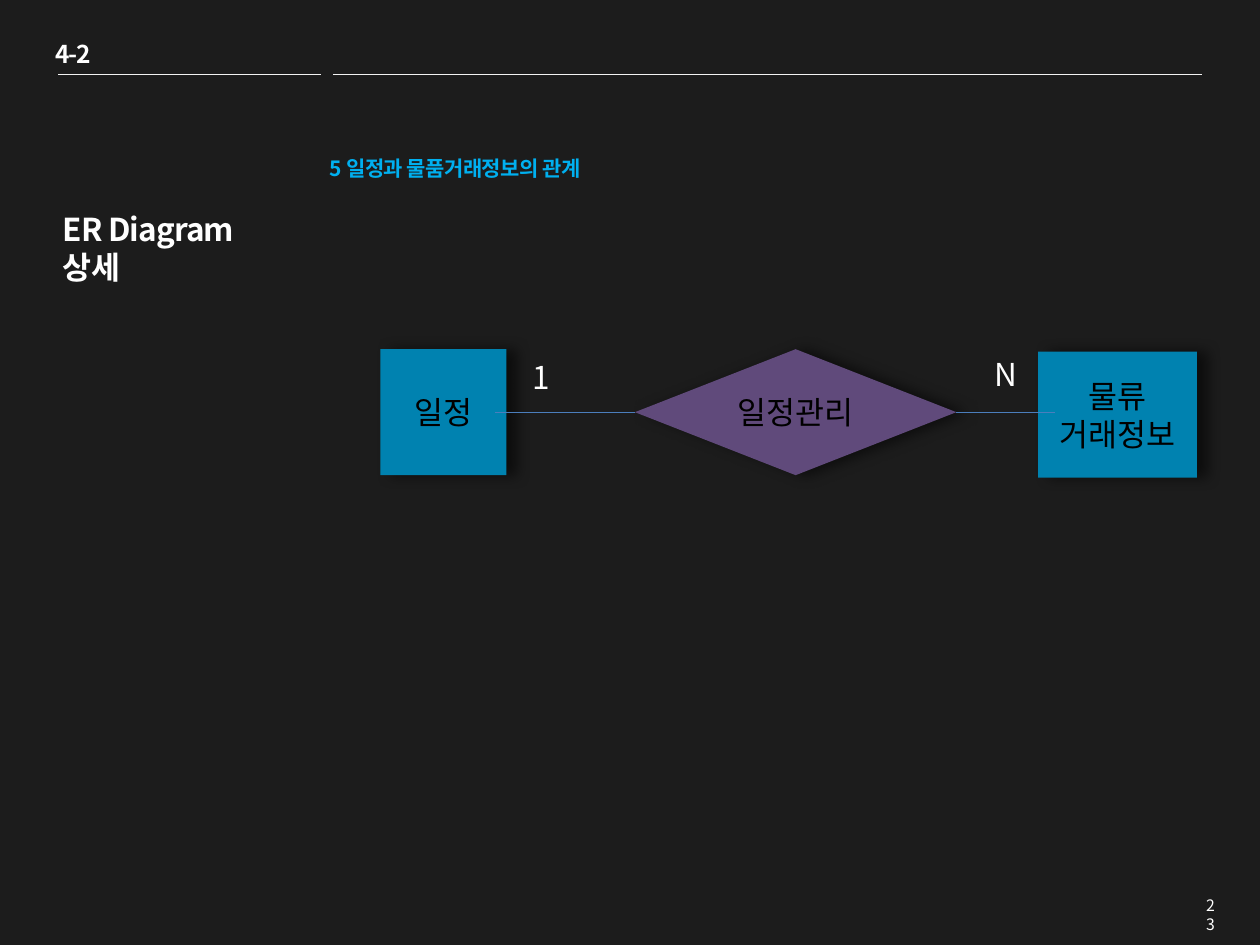
from dataclasses import dataclass

import pptx
import pptx.dml.color
import pptx.enum.shapes
import pptx.enum.text
import pptx.oxml
import pptx.oxml.ns
import pptx.util
from lxml import etree

Cm = pptx.util.Cm
Pt = pptx.util.Pt
RGBColor = pptx.dml.color.RGBColor
Shapes = pptx.enum.shapes.MSO_SHAPE
Align = pptx.enum.text.PP_ALIGN
Anchor = pptx.enum.text.MSO_ANCHOR
qn = pptx.oxml.ns.qn

FONT = "Noto Sans CJK KR"
BACKGROUND = RGBColor(0x1C, 0x1C, 0x1C)
WHITE = RGBColor(0xFF, 0xFF, 0xFF)
BLACK = RGBColor(0x00, 0x00, 0x00)
RULE = RGBColor(0xF2, 0xF2, 0xF2)
HEADING = RGBColor(0x00, 0xB0, 0xF0)
ENTITY = RGBColor(0x00, 0x82, 0xB0)
RELATION = RGBColor(0x60, 0x4A, 0x7B)
LINK = RGBColor(0x4B, 0x7E, 0xBC)
SHADOW = f"""<a:effectLst {pptx.oxml.ns.nsdecls("a")}>
<a:outerShdw blurRad="{Pt(8)}" dist="{Pt(6)}" dir="0" algn="l" rotWithShape="0">
<a:srgbClr val="000000"><a:alpha val="55000"/></a:srgbClr></a:outerShdw></a:effectLst>"""


@dataclass
class Label:
    text: str
    left: float
    top: float
    width: float
    height: float
    size: float
    color: RGBColor = WHITE
    bold: bool = False
    spacing: float = 0
    align: Align = Align.LEFT
    wrap: bool = False


@dataclass
class Node:
    text: str
    kind: Shapes
    left: float
    top: float
    width: float
    fill: RGBColor
    height: float = 2.54


LABELS = [
    Label("5 일정과 물품거래정보의 관계", 6.4, 3.02, 7.19, 0.76, 12, HEADING, True, -0.3, wrap=True),
    Label("4-2", 0.86, 0.66, 1.24, 0.86, 14, bold=True, spacing=-0.5),
    Label("23", 24.03, 17.93, 0.71, 0.64, 9, align=Align.RIGHT, wrap=True),
    Label("1", 10.49, 7.09, 0.89, 1.02, 18),
    Label("N", 19.79, 7.04, 0.99, 1.02, 18),
]
SCHEDULE = Node("일정", Shapes.RECTANGLE, 7.67, 7.04, 2.54, ENTITY)
MANAGES = Node("일정관리", Shapes.DIAMOND, 12.8, 7.04, 6.48, RELATION)
TRADE = Node("물류\n거래정보", Shapes.RECTANGLE, 20.93, 7.09, 3.2, ENTITY)


def format_text(text_frame, size: float, color: RGBColor, bold: bool = False,
                spacing: float = 0, align: Align = Align.LEFT) -> None:
    for paragraph in text_frame.paragraphs:
        paragraph.alignment = align
        for run in paragraph.runs:
            run.font.name = FONT
            run.font.size = Pt(size)
            run.font.bold = bold
            run.font.color.rgb = color
            properties = run.font._element
            etree.SubElement(properties, qn("a:ea")).set("typeface", FONT)
            if spacing:
                properties.set("spc", str(round(spacing * 100)))


def add_label(slide, label: Label) -> None:
    box = slide.shapes.add_textbox(Cm(label.left), Cm(label.top), Cm(label.width), Cm(label.height))
    box.text_frame.text = label.text
    box.text_frame.word_wrap = label.wrap
    format_text(box.text_frame, label.size, label.color, label.bold, label.spacing, label.align)


def add_node(slide, node: Node):
    shape = slide.shapes.add_shape(node.kind, Cm(node.left), Cm(node.top), Cm(node.width), Cm(node.height))
    shape.fill.solid()
    shape.fill.fore_color.rgb = node.fill
    shape.line.fill.background()
    shape._element.spPr.append(pptx.oxml.parse_xml(SHADOW))
    shape.text_frame.text = node.text
    shape.text_frame.vertical_anchor = Anchor.MIDDLE
    format_text(shape.text_frame, 18, BLACK, align=Align.CENTER)
    return shape


def add_line(slide, start: float, end: float, y: float, color: RGBColor, width: float):
    """Draw a horizontal line from start to end."""
    line = slide.shapes.add_connector(
        pptx.enum.shapes.MSO_CONNECTOR.STRAIGHT, Cm(start), Cm(y), Cm(end), Cm(y))
    line.line.color.rgb = color
    line.line.width = Pt(width)
    etree.SubElement(line._element.spPr, qn("a:effectLst"))
    return line


def set_title(slide) -> None:
    title = slide.shapes.title
    title.left, title.top, title.width, title.height = Cm(0.89), Cm(2.59), Cm(5.59), Cm(4.09)
    frame = title.text_frame
    frame.text = " ER Diagram\n 상세"
    frame.auto_size = pptx.enum.text.MSO_AUTO_SIZE.NONE
    frame.vertical_anchor = Anchor.TOP
    frame.margin_top = Cm(1.65)
    format_text(frame, 18, WHITE, True, -0.5)


def main() -> None:
    presentation = pptx.Presentation()
    presentation.slide_width, presentation.slide_height = Cm(25.4), Cm(19.05)
    slide = presentation.slides.add_slide(presentation.slide_layouts[5])
    slide.background.fill.solid()
    slide.background.fill.fore_color.rgb = BACKGROUND

    set_title(slide)
    for start, end in ((1.17, 6.48), (6.71, 24.23)):
        add_line(slide, start, end, 1.5, RULE, 0.25)

    add_node(slide, SCHEDULE)
    relation = add_node(slide, MANAGES)
    add_node(slide, TRADE)
    middle = MANAGES.top + MANAGES.height / 2
    # The links start slightly inside the entities and end on the diamond's corners.
    for start, end, corner in ((9.98, MANAGES.left, 1), (21.26, MANAGES.left + MANAGES.width, 3)):
        add_line(slide, start, end, middle, LINK, 0.75).end_connect(relation, corner)

    for label in LABELS:
        add_label(slide, label)
    presentation.save("out.pptx")


if __name__ == "__main__":
    main()
